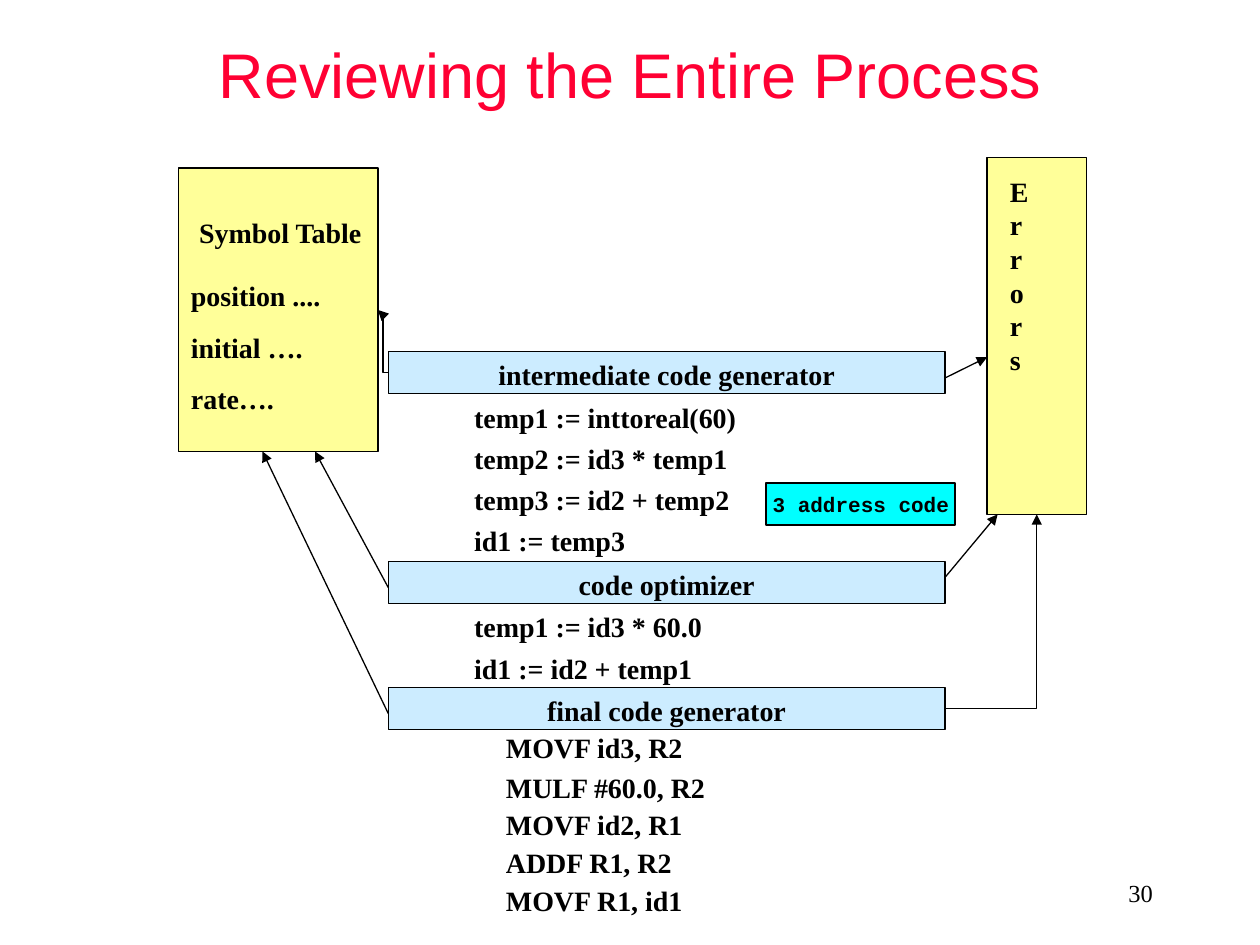
from dataclasses import dataclass

from lxml.etree import SubElement
from pptx import Presentation
from pptx.dml.color import RGBColor
from pptx.enum.shapes import MSO_CONNECTOR, MSO_SHAPE
from pptx.enum.text import MSO_ANCHOR, MSO_AUTO_SIZE, PP_ALIGN
from pptx.oxml.ns import qn
from pptx.util import Cm, Pt

BLACK, YELLOW, BLUE, CYAN, RED = "000000", "FFFF99", "CCECFF", "00FFFF", "FF0033"
BODY = {"name": "Times New Roman", "size": Pt(16), "bold": True}
LEFT, MID, RIGHT = PP_ALIGN.LEFT, PP_ALIGN.CENTER, PP_ALIGN.RIGHT


@dataclass
class Box:
    x: float
    y: float
    w: float
    h: float

    def place(self) -> tuple:
        return Cm(self.x), Cm(self.y), Cm(self.w), Cm(self.h)


@dataclass
class Note:
    box: Box
    lines: list
    align: int = LEFT
    space: float = 1.0
    wrap: bool = True


@dataclass
class Arrow:
    start: tuple
    end: tuple
    kind: str = "line"


def tint(color: str) -> RGBColor:
    return RGBColor.from_string(color)


def write(frame, lines: list, align: int, form: dict, color: str = BLACK,
          space: float = 1.0) -> None:
    for i, line in enumerate(lines):
        para = frame.paragraphs[0] if i == 0 else frame.add_paragraph()
        para.alignment = align
        para.space_before = Pt(10 if i else 0)
        if i:
            para.line_spacing = space
        run = para.add_run()
        run.text = line
        for key, value in form.items():
            setattr(run.font, key, value)
        run.font.color.rgb = tint(color)


def add_rect(home, box: Box, fill: str, width: float = 0.75):
    rect = home.add_shape(MSO_SHAPE.RECTANGLE, *box.place())
    rect.shadow.inherit = False
    rect.fill.solid()
    rect.fill.fore_color.rgb = tint(fill)
    rect.line.color.rgb = tint(BLACK)
    rect.line.width = Pt(width)
    return rect


def add_note(home, note: Note) -> None:
    frame = home.add_textbox(*note.box.place()).text_frame
    frame.word_wrap = note.wrap
    frame.auto_size = MSO_AUTO_SIZE.SHAPE_TO_FIT_TEXT
    write(frame, note.lines, note.align, BODY, space=note.space)


def add_phase(home, top: float, name: str) -> None:
    group = home.add_group_shape().shapes
    add_rect(group, Box(7.83, top, 11.22, 0.85), BLUE)
    add_note(group, Note(Box(8.26, top, 10.36, 0.94), [name], MID))


def add_arrow(home, arrow: Arrow) -> None:
    kind = MSO_CONNECTOR.STRAIGHT if arrow.kind == "line" else MSO_CONNECTOR.ELBOW
    ends = [Cm(n) for n in arrow.start + arrow.end]
    link = home.add_connector(kind, *ends)
    link.line.color.rgb = tint(BLACK)
    link.line.width = Pt(0.75)
    props = link._element.spPr
    props.find(qn("a:prstGeom")).set("prst", arrow.kind)
    SubElement(props.find(qn("a:ln")), qn("a:tailEnd"), type="triangle")
    SubElement(props, qn("a:effectLst"))


PHASES = [
    (7.09, "intermediate code generator"),
    (11.32, "code optimizer"),
    (13.86, "final code generator"),
]
CODE = [
    Note(Box(9.31, 7.94, 9.31, 3.43),
         ["temp1 := inttoreal(60)", "temp2 := id3 * temp1",
          "temp3 := id2 + temp2", "id1 := temp3"], space=0.7),
    Note(Box(9.31, 12.17, 9.31, 1.75),
         ["temp1 := id3 * 60.0", "id1 := id2 + temp1"], space=0.7),
    Note(Box(9.95, 14.61, 5.93, 3.96),
         ["MOVF id3, R2", "MULF #60.0, R2", "MOVF id2, R1",
          "ADDF R1, R2", "MOVF R1, id1"], space=0.6),
]
ARROWS = [
    Arrow((7.83, 7.51), (7.62, 6.25), "bentConnector3"),
    Arrow((7.83, 11.85), (6.35, 9.1)),
    Arrow((7.83, 14.39), (5.29, 9.1)),
    Arrow((19.05, 14.29), (20.9, 10.37), "bentConnector2"),
    Arrow((19.05, 11.64), (20.11, 10.37)),
    Arrow((19.05, 7.62), (19.9, 7.2)),
]


def main() -> None:
    deck = Presentation()
    deck.slide_width, deck.slide_height = Cm(25.4), Cm(19.05)
    slide = deck.slides.add_slide(deck.slide_layouts[5])
    home = slide.shapes

    # Title
    title = home.title
    title.left, title.top, title.width, title.height = Box(1.91, 0, 21.59, 2.96).place()
    title.text_frame.vertical_anchor = MSO_ANCHOR.MIDDLE
    write(title.text_frame, ["Reviewing the Entire Process"], MID,
          {"name": "Arial", "size": Pt(36)}, RED)

    # Errors column, one letter to a line
    add_rect(home, Box(19.9, 3.18, 2.01, 7.2), YELLOW)
    add_note(home, Note(Box(20.11, 3.39, 0.51, 4.32), ["Errors"]))

    # Compiler phases and the code between them
    for top, name in PHASES:
        add_phase(home, top, name)
    for note in CODE:
        add_note(home, note)

    # Symbol table
    add_rect(home, Box(3.6, 3.39, 4.02, 5.72), YELLOW)
    add_note(home, Note(Box(3.6, 5.5, 4.02, 3), ["position ....", "initial ….", "rate…."]))
    add_note(home, Note(Box(3.73, 4.23, 3.84, 0.94), ["Symbol Table"], MID, wrap=False))

    # Arrows
    for arrow in ARROWS:
        add_arrow(home, arrow)

    # Code label
    label = add_rect(home, Box(15.45, 9.74, 3.81, 0.85), CYAN, 1).text_frame
    label.word_wrap = False
    label.vertical_anchor = MSO_ANCHOR.MIDDLE
    write(label, ["3 address code"], MID,
          {"name": "Courier New", "size": Pt(12), "bold": True})

    # Page number
    page = home.add_textbox(*Box(18.2, 17.36, 5.29, 1.27).place()).text_frame
    page.word_wrap = True
    page.vertical_anchor = MSO_ANCHOR.MIDDLE
    write(page, ["30"], RIGHT, {"name": "Times New Roman", "size": Pt(14)})

    deck.save("out.pptx")


if __name__ == "__main__":
    main()
